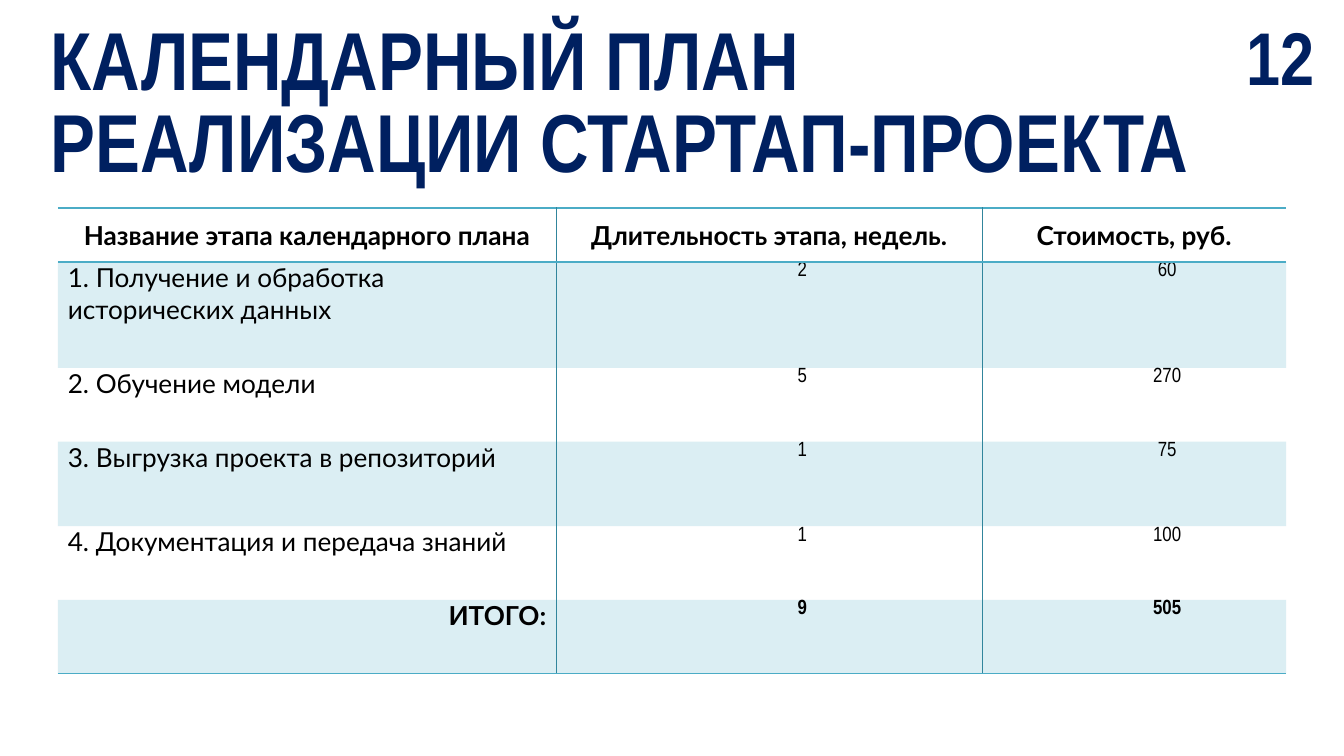
from lxml import etree
from pptx import Presentation
from pptx.dml.color import RGBColor
from pptx.enum.text import MSO_ANCHOR, PP_ALIGN
from pptx.oxml.ns import qn
from pptx.util import Inches, Pt

LEFT, CENTER, RIGHT = PP_ALIGN.LEFT, PP_ALIGN.CENTER, PP_ALIGN.RIGHT
TOP, MIDDLE = MSO_ANCHOR.TOP, MSO_ANCHOR.MIDDLE
WIDTH = Inches(10)
HEIGHT = WIDTH * 9 // 16
NAVY, BLACK, TEAL, AQUA = "002060", "000000", "31859C", "4BACC6"
HEADING_FONT, BODY_FONT = "Arial Narrow", "Lato"
PLAIN_STYLE = "{2D5ABB26-0587-4C30-8999-92F81FD0307C}"
COLUMN_WIDTHS = [3.71, 3.17, 2.26]
ROW_HEIGHTS = [0.4, 0.79, 0.55, 0.63, 0.55, 0.55]
ROWS = [
    ("Название этапа календарного плана", "Длительность этапа, недель.", "Стоимость, руб."),
    ("1. Получение и обработка исторических данных", "2", "60"),
    ("2. Обучение модели", "5", "270"),
    ("3. Выгрузка проекта в репозиторий", "1", "75"),
    ("4. Документация и передача знаний", "1", "100"),
    ("ИТОГО:", "9", "505"),
]


def color(value):
    return RGBColor.from_string(value)


def percent_box(left, top, width, height):
    return (round(WIDTH * left / 100), round(HEIGHT * top / 100),
            round(WIDTH * width / 100), round(HEIGHT * height / 100))


def write_text(frame, text, *, size, font=BODY_FONT, fill=BLACK, bold=False,
               align=LEFT, line_spacing=None, indent=0):
    frame.word_wrap = True
    paragraph = frame.paragraphs[0]
    paragraph.alignment = align
    if line_spacing:
        paragraph.line_spacing = Pt(line_spacing)
    if indent:
        properties = paragraph._p.get_or_add_pPr()
        properties.set("marL", "0")
        properties.set("indent", str(Inches(indent)))
    run = paragraph.add_run()
    run.text = text
    run.font.size = Pt(size)
    run.font.name = font
    run.font.bold = bold
    run.font.color.rgb = color(fill)


def add_heading(slide, box):
    title = slide.shapes.title
    title.left, title.top, title.width, title.height = box
    title.text_frame.vertical_anchor = TOP
    write_text(title.text_frame, "КАЛЕНДАРНЫЙ ПЛАН РЕАЛИЗАЦИИ СТАРТАП-ПРОЕКТА",
               size=44, font=HEADING_FONT, fill=NAVY, bold=True, line_spacing=44)


def add_page_number(slide, box):
    shape = slide.shapes.add_textbox(*box)
    shape.text_frame.vertical_anchor = MIDDLE
    write_text(shape.text_frame, "12", size=40, font=HEADING_FONT,
               fill=NAVY, bold=True, align=CENTER)


def set_borders(cell, borders):
    properties = cell._tc.get_or_add_tcPr()
    for side in ("lnL", "lnR", "lnT", "lnB"):
        if side in borders:
            line = etree.SubElement(properties, qn(f"a:{side}"), w=str(Pt(1)))
            solid = etree.SubElement(line, qn("a:solidFill"))
            etree.SubElement(solid, qn("a:srgbClr"), val=borders[side])


def set_band(cell, banded):
    if not banded:
        cell.fill.background()
        return
    cell.fill.solid()
    cell.fill.fore_color.rgb = color(AQUA)
    shade = cell._tc.tcPr.find(qn("a:solidFill")).find(qn("a:srgbClr"))
    etree.SubElement(shade, qn("a:alpha"), val="20000")


def format_cell(cell, text, row, column):
    header, total = row == 0, row == len(ROWS) - 1
    cell.margin_left = cell.margin_right = Pt(5.4)
    cell.margin_top = cell.margin_bottom = 0
    cell.vertical_anchor = MIDDLE if header else TOP
    borders = {}
    if column > 0:
        borders["lnL"] = TEAL
    if column < len(COLUMN_WIDTHS) - 1:
        borders["lnR"] = TEAL
    if header:
        borders["lnT"] = AQUA
    if header or total:
        borders["lnB"] = AQUA
    set_borders(cell, borders)
    set_band(cell, row % 2 == 1)
    if header:
        style = {"size": 14, "align": CENTER}
    elif column == 0:
        style = {"size": 14, "align": RIGHT if total else LEFT}
    else:
        style = {"size": 11, "font": HEADING_FONT, "align": CENTER, "indent": 0.49}
    write_text(cell.text_frame, text, bold=header or total, **style)


def add_plan_table(slide, box):
    frame = slide.shapes.add_table(len(ROWS), len(COLUMN_WIDTHS), *box)
    table = frame.table
    table.first_row = table.horz_banding = False
    table._tbl.tblPr.find(qn("a:tableStyleId")).text = PLAIN_STYLE
    for column, share in zip(table.columns, COLUMN_WIDTHS):
        column.width = round(box[2] * share / sum(COLUMN_WIDTHS))
    for row, share in zip(table.rows, ROW_HEIGHTS):
        row.height = round(box[3] * share / sum(ROW_HEIGHTS))
    for row, texts in enumerate(ROWS):
        for column, text in enumerate(texts):
            format_cell(table.cell(row, column), text, row, column)


def main():
    presentation = Presentation()
    presentation.slide_width, presentation.slide_height = WIDTH, HEIGHT
    slide = presentation.slides.add_slide(presentation.slide_layouts[5])
    add_page_number(slide, percent_box(91.7, 2.5, 7.1, 9.6))
    add_heading(slide, percent_box(27.5 / 10, 2.4, 89, 14))
    add_plan_table(slide, percent_box(4.3, 27.55, 91.4, 61.6))
    presentation.save("out.pptx")


if __name__ == "__main__":
    main()
